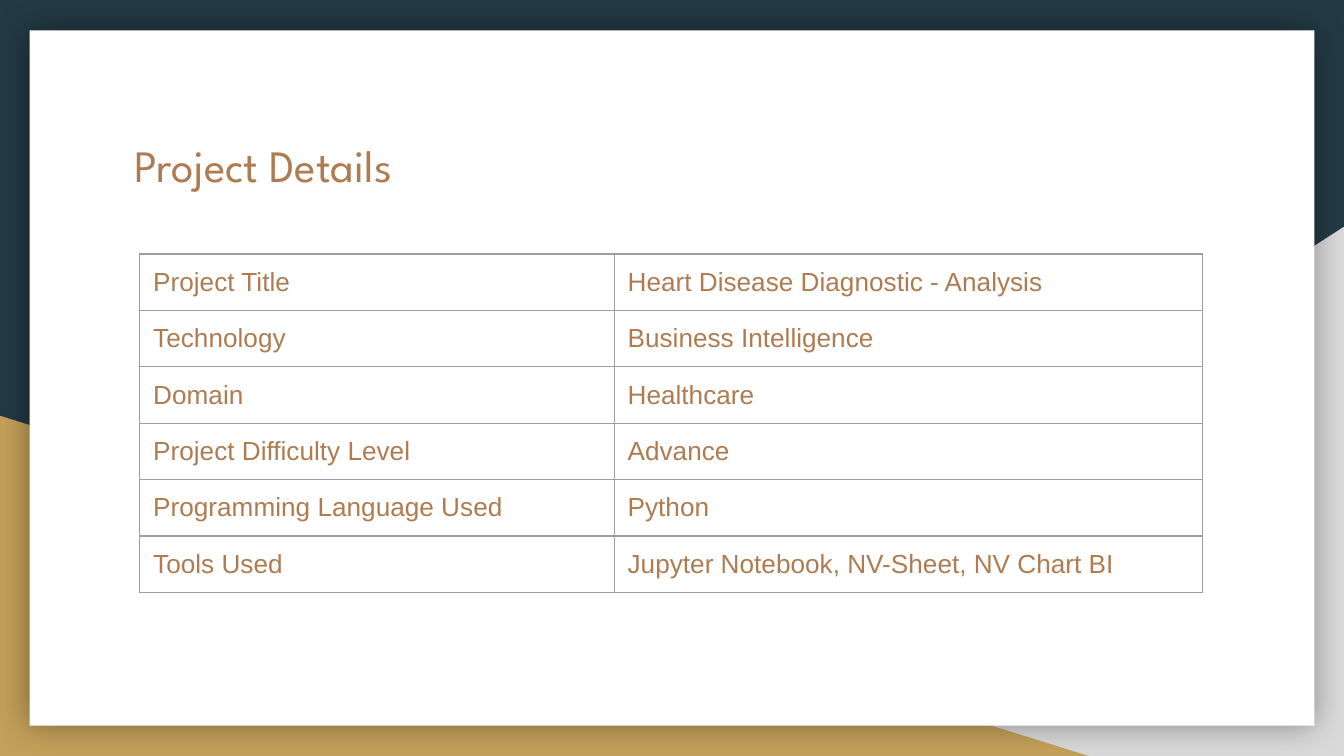
from pptx import Presentation
from pptx.dml.color import RGBColor
from pptx.enum.shapes import MSO_SHAPE as Kind
from pptx.enum.text import MSO_ANCHOR as Anchor
from pptx.oxml import parse_xml
from pptx.util import Inches, Pt

WIDE = Inches(10)
HIGH = WIDE * 9 // 16
NAVY = RGBColor(0x23, 0x3A, 0x44)
GRAY = RGBColor(0xD9, 0xD9, 0xD9)
GOLD = RGBColor(0xC4, 0xA1, 0x5A)
WHITE = RGBColor(0xFF, 0xFF, 0xFF)
BROWN = RGBColor(0xAF, 0x7B, 0x51)
EDGE = RGBColor(0x9E, 0x9E, 0x9E)
SPACE = 'xmlns:a="http://schemas.openxmlformats.org/drawingml/2006/main"'
PAD, BASE = Inches(0.1), Inches(0.08)
COLS = (3.53, 4.38)
ROW = 0.42
DETAILS = (
    ("Project Title", "Heart Disease Diagnostic - Analysis"),
    ("Technology", "Business Intelligence"),
    ("Domain", "Healthcare"),
    ("Project Difficulty Level", "Advance"),
    ("Programming Language Used", "Python"),
    ("Tools Used", "Jupyter Notebook, NV-Sheet, NV Chart BI"),
)


def share(x, y, w, h):
    return int(WIDE * x), int(HIGH * y), int(WIDE * w), int(HIGH * h)


def add_block(slide, kind, box, color, flip=False):
    shape = slide.shapes.add_shape(kind, *box)
    shape.shadow.inherit = False
    shape.fill.solid()
    shape.fill.fore_color.rgb = color
    shape.line.fill.background()
    if flip:
        shape._element.spPr.find("{*}xfrm").set("flipH", "1")
    return shape


def add_glow(shape, blur, alpha):
    glow = parse_xml(
        f'<a:outerShdw {SPACE} blurRad="{Pt(blur)}" dist="0" dir="0" algn="ctr" '
        f'rotWithShape="0"><a:srgbClr val="000000"><a:alpha val="{alpha * 1000}"/>'
        "</a:srgbClr></a:outerShdw>"
    )
    shape._element.spPr.find("{*}effectLst").append(glow)


def put_text(frame, text, font="Arial", size=14, color=BROWN):
    frame.word_wrap = True
    run = frame.paragraphs[0].add_run()
    run.text = text
    run.font.name = font
    run.font.size = Pt(size)
    run.font.color.rgb = color


def set_pad(box, base=PAD):
    box.margin_left = box.margin_right = box.margin_top = PAD
    box.margin_bottom = base


def add_title(slide, box, text):
    frame = slide.shapes.add_textbox(*box).text_frame
    frame.vertical_anchor = Anchor.TOP
    set_pad(frame)
    put_text(frame, text, font="League Spartan", size=24)


def set_edges(cell, width):
    props = cell._tc.get_or_add_tcPr()
    for spot, side in enumerate(("lnL", "lnR", "lnT", "lnB")):
        line = parse_xml(
            f'<a:{side} {SPACE} w="{Pt(width)}"><a:solidFill>'
            f'<a:srgbClr val="{EDGE}"/></a:solidFill></a:{side}>'
        )
        props.insert(spot, line)


def add_grid(slide, left, top, rows):
    size = Inches(sum(COLS)), Inches(ROW * len(rows))
    table = slide.shapes.add_table(len(rows), len(COLS), left, top, *size).table
    table.first_row = table.horz_banding = False
    for col, width in zip(table.columns, COLS):
        col.width = Inches(width)
    for line, words in zip(table.rows, rows):
        line.height = Inches(ROW)
        for cell, text in zip(line.cells, words):
            cell.fill.background()
            set_edges(cell, 0.75)
            set_pad(cell, BASE)
            put_text(cell.text_frame, text)


def main():
    deck = Presentation()
    deck.slide_width, deck.slide_height = WIDE, HIGH
    slide = deck.slides.add_slide(deck.slide_layouts[6])
    slide.background.fill.solid()
    slide.background.fill.fore_color.rgb = NAVY
    add_block(slide, Kind.RIGHT_TRIANGLE, share(0.39, 0.3, 0.61, 0.7), GRAY, flip=True)
    add_block(slide, Kind.RIGHT_TRIANGLE, share(0, 0.55, 0.81, 0.45), GOLD)
    card = add_block(slide, Kind.RECTANGLE, share(0.022, 0.04, 0.956, 0.92), WHITE)
    add_glow(card, 18, 40)
    add_title(slide, share(0.09, 0.164, 0.82, 0.185), "Project Details")
    add_grid(slide, Inches(1.04), Inches(1.89), DETAILS)
    deck.save("out.pptx")


if __name__ == "__main__":
    main()
